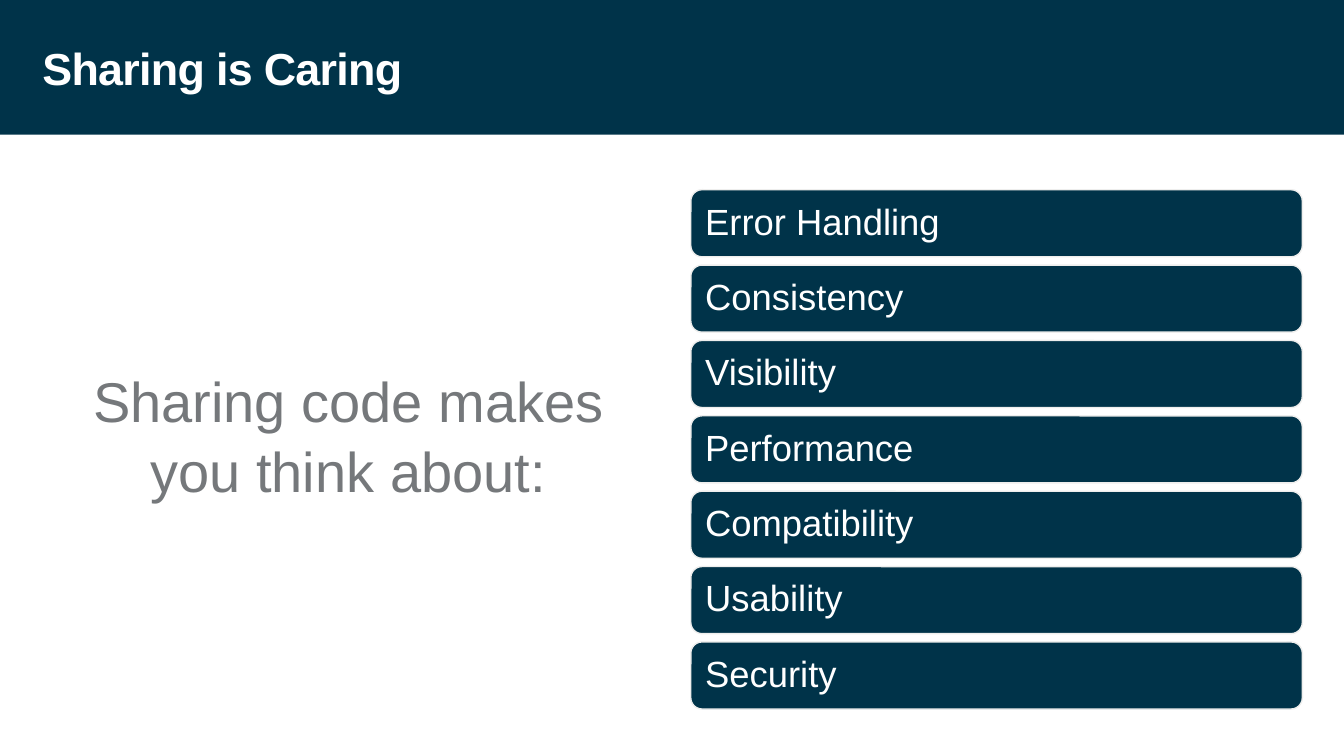
from pptx import Presentation
from pptx.dml.color import RGBColor
from pptx.enum.shapes import MSO_SHAPE
from pptx.enum.text import MSO_ANCHOR, PP_ALIGN
from pptx.util import Inches, Pt

RECTANGLE = MSO_SHAPE.RECTANGLE
ROUNDED = MSO_SHAPE.ROUNDED_RECTANGLE
MIDDLE = MSO_ANCHOR.MIDDLE
LEFT, CENTER = PP_ALIGN.LEFT, PP_ALIGN.CENTER

NAVY, GREY, PALE, WHITE = "003349", "75787B", "EEEEED", "FFFFFF"
TOPICS = ["Error Handling", "Consistency", "Visibility", "Performance",
          "Compatibility", "Usability", "Security"]


def color(hex_code):
    return RGBColor.from_string(hex_code)


class SlideBuilder:
    """Places elements by percentages of the slide's width and height."""

    font_name = "Arial"

    def __init__(self, presentation):
        self.width = presentation.slide_width
        self.height = presentation.slide_height
        self.slide = presentation.slides.add_slide(presentation.slide_layouts[6])

    def area(self, left, top, width, height):
        return (round(self.width * left / 100), round(self.height * top / 100),
                round(self.width * width / 100), round(self.height * height / 100))

    def set_text(self, shape, text, size, ink, align=LEFT, inset=0.0, leading=1.0,
                 bold=False, tracking=0):
        frame = shape.text_frame
        frame.text = text
        frame.word_wrap = True
        frame.vertical_anchor = MIDDLE
        frame.margin_left = frame.margin_right = Inches(inset)
        frame.margin_top = frame.margin_bottom = Inches(inset)
        paragraph = frame.paragraphs[0]
        paragraph.alignment = align
        paragraph.line_spacing = leading
        run = paragraph.runs[0]
        run.font.name = self.font_name
        run.font.size = Pt(size)
        run.font.bold = bold
        run.font.color.rgb = color(ink)
        if tracking:
            run._r.get_or_add_rPr().set("spc", str(tracking))

    def text(self, area, text, size, ink, **style):
        box = self.slide.shapes.add_textbox(*self.area(*area))
        self.set_text(box, text, size, ink, **style)

    def panel(self, kind, area, fill, outline=None):
        panel = self.slide.shapes.add_shape(kind, *self.area(*area))
        panel.shadow.inherit = False
        panel.fill.solid()
        panel.fill.fore_color.rgb = color(fill)
        if outline:
            panel.line.color.rgb = color(outline)
            panel.line.width = Pt(1)
        else:
            panel.line.fill.background()
        return panel

    def topic_bar(self, area, topic):
        bar = self.panel(ROUNDED, area, NAVY, PALE)
        self.set_text(bar, topic, 26, WHITE, inset=0.11, leading=0.9)


def main():
    presentation = Presentation()
    presentation.slide_width = Inches(13.33)
    presentation.slide_height = Inches(7.5)
    builder = SlideBuilder(presentation)

    # Title band
    builder.panel(RECTANGLE, (0, 0, 100, 17.8), NAVY)
    builder.text((3.15, 3.33, 79.4, 11.33), "Sharing is Caring", 32, WHITE,
                 bold=True, tracking=-50)

    # Lead statement
    builder.text((3.15, 24.4, 45.5, 66), "Sharing code makes you think about:",
                 40, GREY, align=CENTER, leading=1.04)

    # Stack of topics
    first_top, pitch, bar_height = 25.1, 9.97, 8.87
    for row, topic in enumerate(TOPICS):
        builder.topic_bar((51.4, first_top + row * pitch, 45.5, bar_height), topic)

    presentation.save("out.pptx")


if __name__ == "__main__":
    main()
